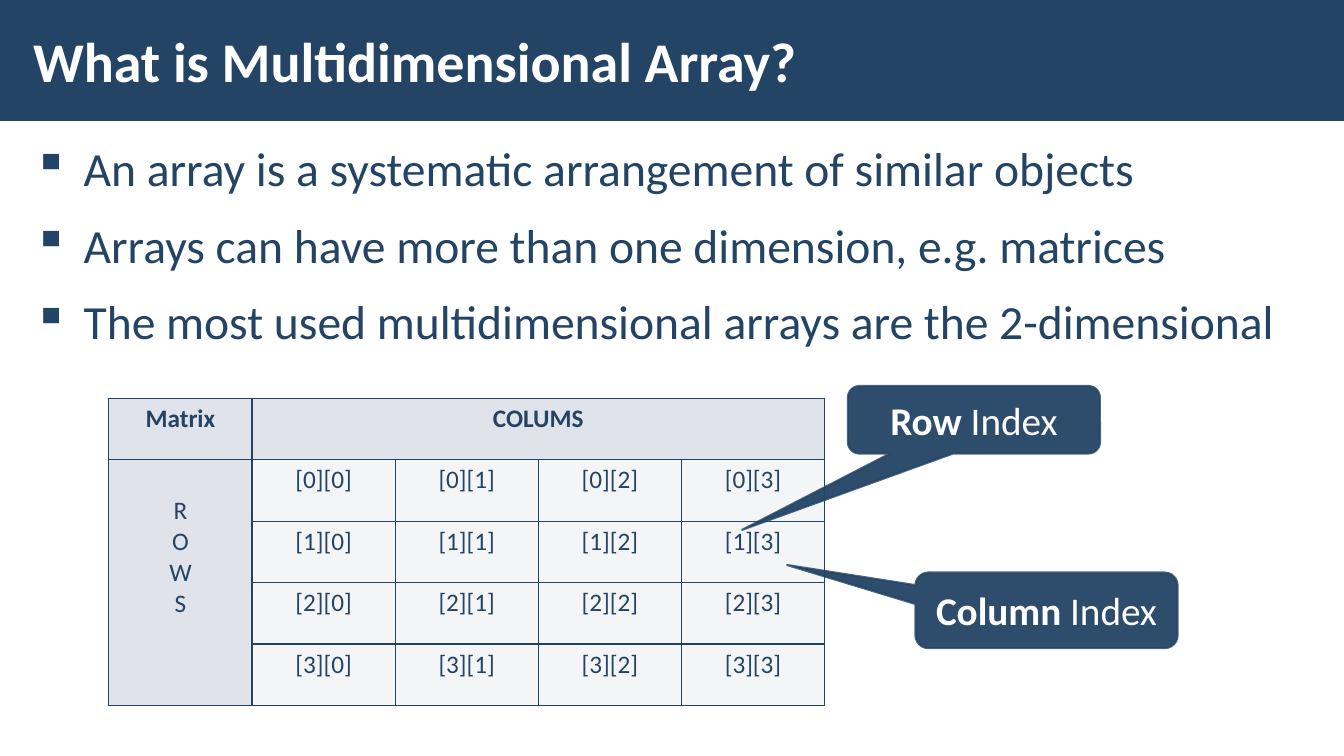
from lxml.etree import SubElement as Sub
from pptx import Presentation
from pptx.dml.color import RGBColor as Rgb
from pptx.enum.shapes import MSO_SHAPE as Shape
from pptx.enum.text import MSO_ANCHOR as Anchor, PP_ALIGN as Align
from pptx.oxml.ns import qn
from pptx.util import Pt

PX = 9144  # 100 px to the inch
HUES = {"navy": "234465", "white": "FFFFFF", "head": "E0E3E9", "cell": "F4F5F7"}


def hue(name):
    return Rgb.from_string(HUES[name])


def write(frame, lines, size, color="navy", align=Align.LEFT, anchor=Anchor.TOP):
    """Fill a frame with lines, each a list of (text, bold) runs."""
    frame.word_wrap = True
    frame.vertical_anchor = anchor
    for i, line in enumerate(lines):
        para = frame.paragraphs[0] if i == 0 else frame.add_paragraph()
        para.alignment = align
        for text, bold in line:
            run = para.add_run()
            run.text = text
            font = run.font
            font.name, font.size, font.bold = "Calibri", Pt(size), bold
            font.color.rgb = hue(color)


deck = Presentation()
deck.slide_width, deck.slide_height = 1333 * PX, 750 * PX
slide = deck.slides.add_slide(deck.slide_layouts[6])
shapes = slide.shapes

# Title band
band = shapes.add_shape(Shape.RECTANGLE, 0, 0, 1333 * PX, 120 * PX)
band.shadow.inherit = False
band.fill.solid()
band.fill.fore_color.rgb = hue("navy")
band.line.fill.background()

# Bullets and title
body = shapes.add_textbox(21 * PX, 131 * PX, 1292 * PX, 569 * PX).text_frame
title = shapes.add_textbox(21 * PX, 11 * PX, 1040 * PX, 97 * PX).text_frame
for frame in (body, title):
    frame.margin_left = frame.margin_right = 12 * PX
    frame.margin_top = frame.margin_bottom = 4 * PX

points = [
    "An array is a systematic arrangement of similar objects",
    "Arrays can have more than one dimension, e.g. matrices",
    "The most used multidimensional arrays are the 2-dimensional",
]
write(body, [[(text, False)] for text in points], size=34)
for para in body.paragraphs:
    para.line_spacing = 1.05
    para.space_before = para.space_after = Pt(6)
    props = para._p.get_or_add_pPr()
    props.set("marL", str(50 * PX))
    props.set("indent", str(-50 * PX))
    Sub(props, qn("a:buChar"), char="▪")

write(title, [[("What is Multidimensional Array?", True)]], size=40,
      color="white", anchor=Anchor.MIDDLE)

# Matrix
SIDE = 5
table = shapes.add_table(SIDE, SIDE, 108 * PX, 395 * PX, 708 * PX, 305 * PX).table
for col in table.columns:
    col.width = 142 * PX
for row in table.rows:
    row.height = 61 * PX
table.cell(0, 1).merge(table.cell(0, SIDE - 1))
table.cell(1, 0).merge(table.cell(SIDE - 1, 0))

heads = {
    (0, 0): [[("Matrix", True)]],
    (0, 1): [[("COLUMS", True)]],
    (1, 0): [[(letter, False)] for letter in "ROWS"],
}
for r in range(SIDE):
    for c in range(SIDE):
        cell = table.cell(r, c)
        props = cell._tc.get_or_add_tcPr()
        for edge in ("lnL", "lnR", "lnT", "lnB"):
            line = Sub(props, qn(f"a:{edge}"), w=str(Pt(1)))
            fill = Sub(line, qn("a:solidFill"))
            Sub(fill, qn("a:srgbClr"), val=HUES["navy"])
        cell.fill.solid()
        cell.fill.fore_color.rgb = hue("cell" if r and c else "head")
        if not cell.is_spanned:
            lines = heads.get((r, c), [[(f"[{r - 1}][{c - 1}]", False)]])
            write(cell.text_frame, lines, size=18, align=Align.CENTER)
table.cell(1, 0).margin_top = 36 * PX

# Callouts
notes = [
    ("Row ", (841, 383, 250, 67), (-0.92, 1.63, 0.17)),
    ("Column ", (908, 568, 260, 75), (-0.99, -0.6, 0.17)),
]
for word, box, bends in notes:
    note = shapes.add_shape(Shape.ROUNDED_RECTANGULAR_CALLOUT, *[n * PX for n in box])
    note.shadow.inherit = False
    for i, bend in enumerate(bends):
        note.adjustments[i] = bend
    note.line.width = Pt(1.5)
    for fill, alpha in ((note.fill, 95), (note.line.fill, 80)):
        fill.solid()
        fill.fore_color.rgb = hue("navy")
        tint = fill._xPr.find(qn("a:solidFill"))[0]
        Sub(tint, qn("a:alpha"), val=str(alpha * 1000))
    write(note.text_frame, [[(word, True), ("Index", False)]], size=28,
          color="white", align=Align.CENTER, anchor=Anchor.MIDDLE)

deck.save("out.pptx")
